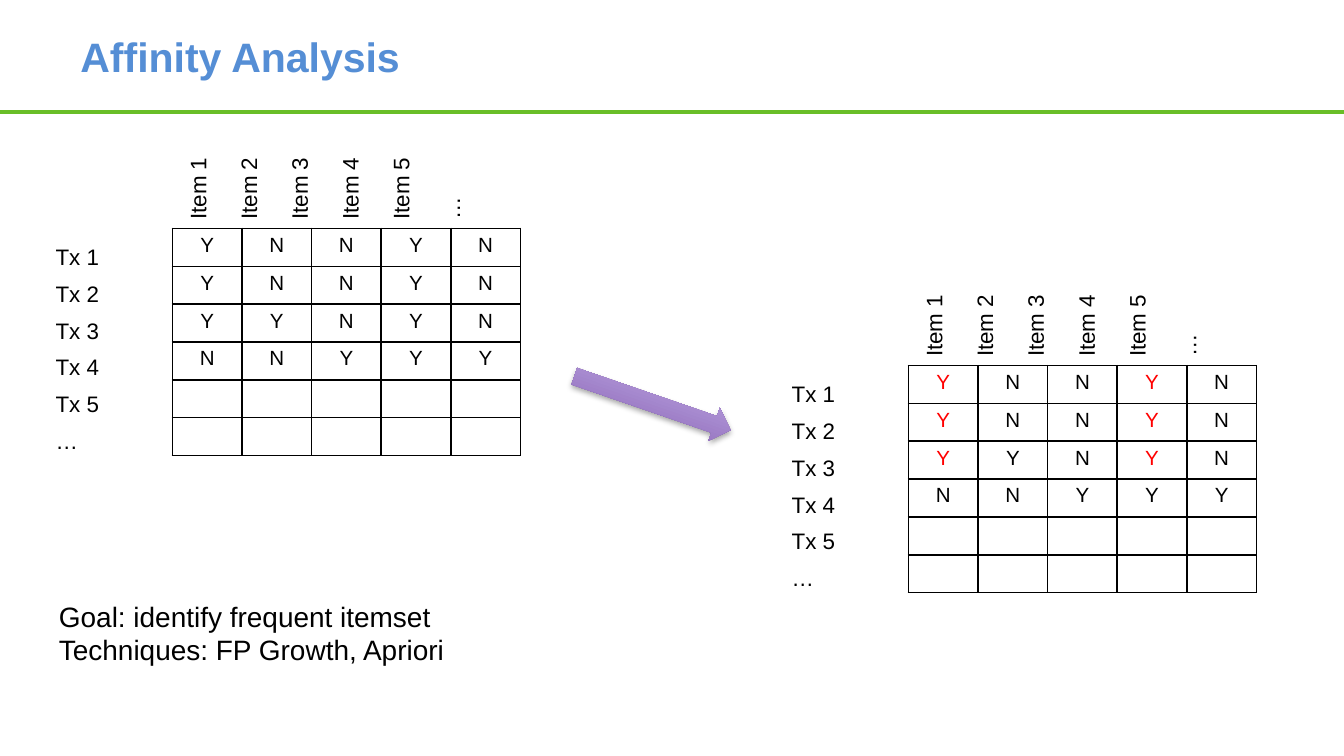
import pptx
import pptx.dml.color
import pptx.enum.shapes
import pptx.enum.text
import pptx.util
from lxml import etree
from pptx.oxml.ns import qn

WIDTH = pptx.util.Inches(10)
HEIGHT = WIDTH * 9 // 16
COLUMNS, ROWS = 100, 56.25
FONT = "Arial"
COLORS = {
    "title": "558ED5",
    "rule": "69BE28",
    "text": "000000",
    "frequent": "FF0000",
    "arrow_dark": "7F5BAB",
    "arrow_light": "C8B0ED",
}
PURCHASES = ["YNNYN", "YNNYN", "YYNYN", "NNYYY", "     ", "     "]
FREQUENT = {(r, c) for r in range(3) for c in (0, 3)}
TRANSACTIONS = [f"Tx {i}" for i in range(1, 6)] + ["…"]
ITEMS = [f"Item {i}" for i in range(1, 6)] + ["…"]


def col(n):
    return round(WIDTH * n / COLUMNS)


def row(n):
    return round(HEIGHT * n / ROWS)


def rgb(name):
    return pptx.dml.color.RGBColor.from_string(COLORS[name])


def add_run(p, text, size, color="text", bold=False):
    r = p.add_run()
    r.text = text
    r.font.name = FONT
    r.font.size = pptx.util.Pt(size)
    r.font.bold = bold
    r.font.color.rgb = rgb(color)


def add_text(s, box, lines, size, color="text", bold=False, before=0, after=0,
             margins=(1, 0.5), middle=False):
    x, y, w, h = box
    sp = s.shapes.add_textbox(col(x), row(y), col(w), row(h))
    tf = sp.text_frame
    tf.word_wrap = True
    tf.margin_left = tf.margin_right = col(margins[0])
    tf.margin_top = tf.margin_bottom = row(margins[1])
    if middle:
        tf.vertical_anchor = pptx.enum.text.MSO_ANCHOR.MIDDLE
    for i, line in enumerate(lines):
        p = tf.add_paragraph() if i else tf.paragraphs[0]
        p.space_before = pptx.util.Pt(before if i else 0)
        p.space_after = pptx.util.Pt(after)
        add_run(p, line, size, color, bold)
    return sp


def add_rule(s, y):
    line = s.shapes.add_connector(
        pptx.enum.shapes.MSO_CONNECTOR.STRAIGHT, 0, row(y), WIDTH, row(y))
    line.line.color.rgb = rgb("rule")
    line.line.width = pptx.util.Pt(2)
    etree.SubElement(line._element.spPr, qn("a:effectLst"))


def border_cell(cell):
    tc_pr = cell._tc.get_or_add_tcPr()
    for side in ("lnL", "lnR", "lnT", "lnB"):
        ln = etree.SubElement(tc_pr, qn(f"a:{side}"), w=str(pptx.util.Pt(1)))
        fill = etree.SubElement(ln, qn("a:solidFill"))
        etree.SubElement(fill, qn("a:srgbClr"), val=COLORS["text"])
    cell.fill.background()


def add_purchase_table(s, x, y, frequent):
    n_rows, n_cols = len(PURCHASES), len(PURCHASES[0])
    table = s.shapes.add_table(
        n_rows, n_cols, col(x), row(y), col(25.9), row(16.9)).table
    table.first_row = table.horz_banding = False
    for r, answers in enumerate(PURCHASES):
        for c, answer in enumerate(answers):
            cell = table.cell(r, c)
            border_cell(cell)
            cell.margin_left = cell.margin_right = col(1)
            cell.margin_top = cell.margin_bottom = row(0.4)
            p = cell.text_frame.paragraphs[0]
            p.alignment = pptx.enum.text.PP_ALIGN.CENTER
            if answer.strip():
                add_run(p, answer, 11, "frequent" if (r, c) in frequent else "text")
            else:
                p._p.get_or_add_endParaRPr().set("sz", "1100")


def add_matrix(s, x, y, frequent=()):
    add_purchase_table(s, x, y, frequent)
    add_text(s, (x - 9.4, y + 0.7, 10.1, 22.2), TRANSACTIONS, 12,
             before=3.8, after=1.5, margins=(0.7, 0.4))
    items = add_text(s, (x + 11.9, y - 19, 7.6, 30.5), ITEMS, 12,
                     before=3.8, after=9, margins=(0.7, 0.4))
    items.rotation = 270


def add_arrow(s, x, y, w, h, angle):
    sp = s.shapes.add_shape(
        pptx.enum.shapes.MSO_SHAPE.RIGHT_ARROW, col(x), row(y), col(w), row(h))
    sp.rotation = angle
    sp.line.fill.background()
    sp.fill.gradient()
    sp.fill.gradient_angle = 90
    for stop, name in zip(sp.fill.gradient_stops, ("arrow_dark", "arrow_light")):
        stop.color.rgb = rgb(name)
    sp.shadow.inherit = False
    effects = sp._element.spPr.find(qn("a:effectLst"))
    shadow = etree.SubElement(
        effects, qn("a:outerShdw"), blurRad=str(pptx.util.Pt(3.1)),
        dist=str(pptx.util.Pt(1.8)), dir="5400000", rotWithShape="0")
    color = etree.SubElement(shadow, qn("a:srgbClr"), val=COLORS["text"])
    etree.SubElement(color, qn("a:alpha"), val="35000")


def main():
    prs = pptx.Presentation()
    prs.slide_width, prs.slide_height = WIDTH, HEIGHT
    s = prs.slides.add_slide(prs.slide_layouts[6])
    add_rule(s, 8.33)
    add_text(s, (5, 0, 93.5, 8.3), ["Affinity Analysis"], 22, "title",
             bold=True, middle=True)
    add_matrix(s, 12.83, 17)
    add_matrix(s, 67.6, 27.2, FREQUENT)
    add_arrow(s, 42.4, 28.7, 12.3, 2.6, 19)
    add_text(s, (3.4, 44.1, 54.6, 6.7),
             ["Goal: identify frequent itemset", "Techniques: FP Growth, Apriori"], 15)
    prs.save("out.pptx")


if __name__ == "__main__":
    main()
